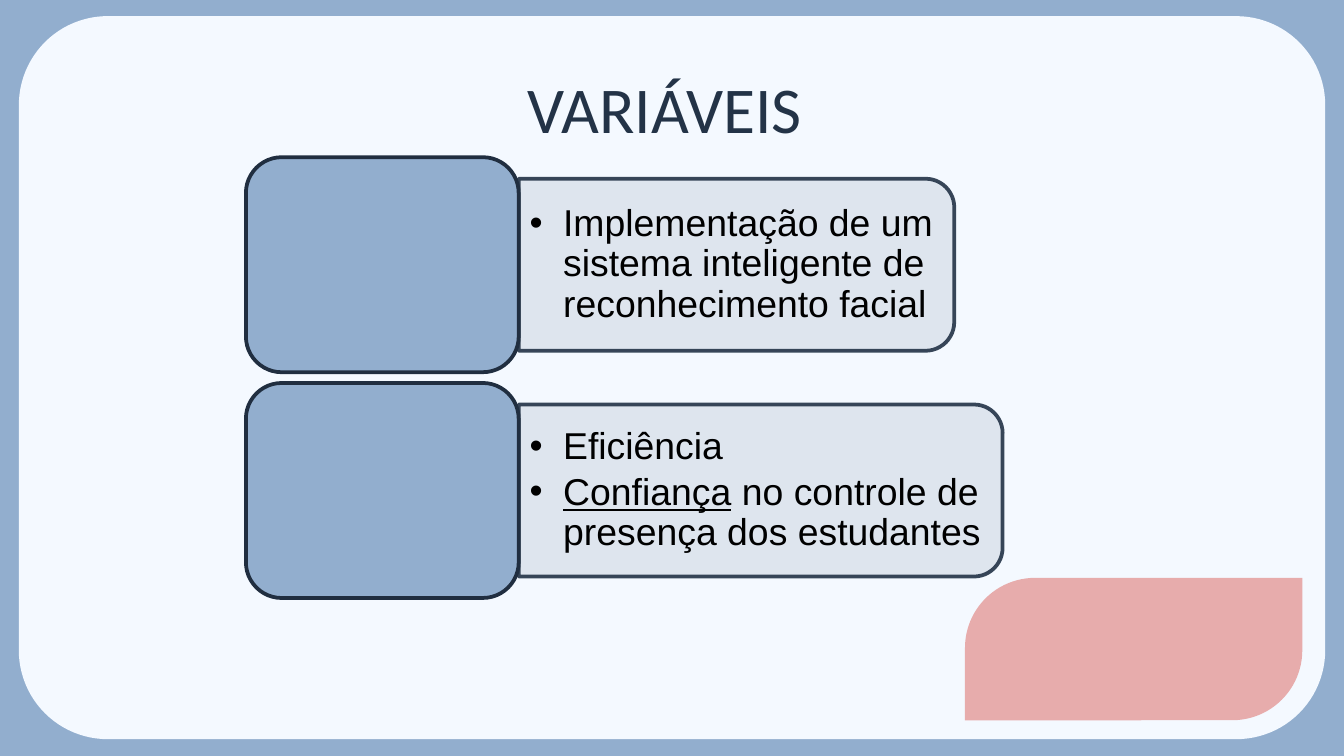
"""Builds the slide that lists the study variables."""
from lxml.etree import SubElement
from pptx import Presentation
from pptx.dml.color import RGBColor
from pptx.enum.shapes import MSO_SHAPE as Shape
from pptx.enum.text import MSO_ANCHOR as Anchor, MSO_AUTO_SIZE as AutoSize, PP_ALIGN as Align
from pptx.oxml.ns import qn
from pptx.util import Inches, Pt

COLORS = {
    "blue": "92AECE", "card": "F4F9FF", "rose": "E7ACAC", "panel": "DCE3ED",
    "navy": "233347", "outline": "202E40", "black": "000000",
}
GROUPS = [
    (1.17, 3.24, [[("Implementação de um sistema inteligente de reconhecimento facial", False)]]),
    (2.85, 3.60, [
        [("Eficiência", False)],
        [("Confiança", True), (" no controle de presença dos estudantes", False)],
    ]),
]


class SlideBuilder:
    def __init__(self, deck):
        self.slide = deck.slides.add_slide(deck.slide_layouts[3])
        self.shapes = self.slide.shapes
        self.title_box, *self.list_boxes = self.slide.placeholders
        background = self.slide.background.fill
        background.solid()
        background.fore_color.rgb = self.color("blue")

    def color(self, name):
        return RGBColor.from_string(COLORS[name])

    def paint(self, fill, name, opacity=100):
        fill.solid()
        fill.fore_color.rgb = self.color(name)
        if opacity < 100:
            tint = fill._xPr.find(qn("a:solidFill"))[0]
            SubElement(tint, qn("a:alpha"), val=str(opacity * 1000))

    def shape(self, kind, left, top, width, height, fill, line=None, opacity=100, adjust=None):
        shape = self.shapes.add_shape(kind, Inches(left), Inches(top), Inches(width), Inches(height))
        shape.shadow.inherit = False
        self.paint(shape.fill, fill, opacity)
        if line:
            self.paint(shape.line.fill, line, opacity)
            shape.line.width = Pt(2)
        else:
            shape.line.fill.background()
        if adjust is not None:
            shape.adjustments[0] = adjust
        return shape

    def panel(self, left, top, width, height):
        middle_x, middle_y = left + width / 2, top + height / 2
        panel = self.shape(Shape.ROUND_2_SAME_RECTANGLE, middle_x - height / 2,
                           middle_y - width / 2, height, width, "panel", "navy", 90)
        panel.rotation = 90

    def place(self, box, left, top, width, height, inset_x, inset_y, anchor):
        self.shapes._spTree.append(box._element)
        box.left, box.top = Inches(left), Inches(top)
        box.width, box.height = Inches(width), Inches(height)
        frame = box.text_frame
        frame.word_wrap = True
        frame.auto_size = AutoSize.NONE
        frame.vertical_anchor = anchor
        frame.margin_left = frame.margin_right = Inches(inset_x)
        frame.margin_top = frame.margin_bottom = Inches(inset_y)
        return frame

    def add_span(self, para, text, font, size, color, underline=False):
        span = para.add_run()
        span.text = text
        span.font.name, span.font.size = font, Pt(size)
        span.font.color.rgb = self.color(color)
        if underline:
            span.font.underline = True

    def title(self, text, *place):
        para = self.place(self.title_box, *place, 0.1, 0.1, Anchor.TOP).paragraphs[0]
        para.alignment = Align.CENTER
        self.add_span(para, text, "Calibri", 35, "navy")

    def bullets(self, box, items, *place):
        frame = self.place(box, *place, 0.08, 0.04, Anchor.MIDDLE)
        for index, spans in enumerate(items):
            para = frame.add_paragraph() if index else frame.paragraphs[0]
            para.level = 1
            para.line_spacing = 0.9
            para.space_before, para.space_after = Pt(0), Pt(3)
            properties = para._p.get_or_add_pPr()
            properties.set("marL", str(Inches(0.25)))
            properties.set("indent", str(-Inches(0.25)))
            tint = SubElement(properties, qn("a:buClr"))
            SubElement(tint, qn("a:srgbClr"), val=COLORS["black"])
            SubElement(properties, qn("a:buFont"), typeface="Arial")
            SubElement(properties, qn("a:buChar"), char="•")
            for text, underline in spans:
                self.add_span(para, text, "Arial", 20, "black", underline)


def main():
    deck = Presentation()
    deck.slide_width = Inches(10)
    deck.slide_height = deck.slide_width * 9 // 16
    page = SlideBuilder(deck)
    page.shape(Shape.ROUNDED_RECTANGLE, 0.14, 0.12, 9.72, 5.38, "card", adjust=0.123)
    page.title("VARIÁVEIS ", 3.46, 0.41, 3.08, 0.81)
    page.shape(Shape.ROUND_2_DIAG_RECTANGLE, 7.18, 4.3, 2.51, 1.06, "rose", adjust=0.492)
    for box, (top, width, items) in zip(page.list_boxes, GROUPS):
        page.panel(3.86, top + 0.16, width, 1.28)
        page.bullets(box, items, 3.86, top + 0.22, width - 0.06, 1.16)
        page.shape(Shape.ROUNDED_RECTANGLE, 1.83, top, 2.03, 1.6, "blue", "outline")
    deck.save("out.pptx")


if __name__ == "__main__":
    main()
